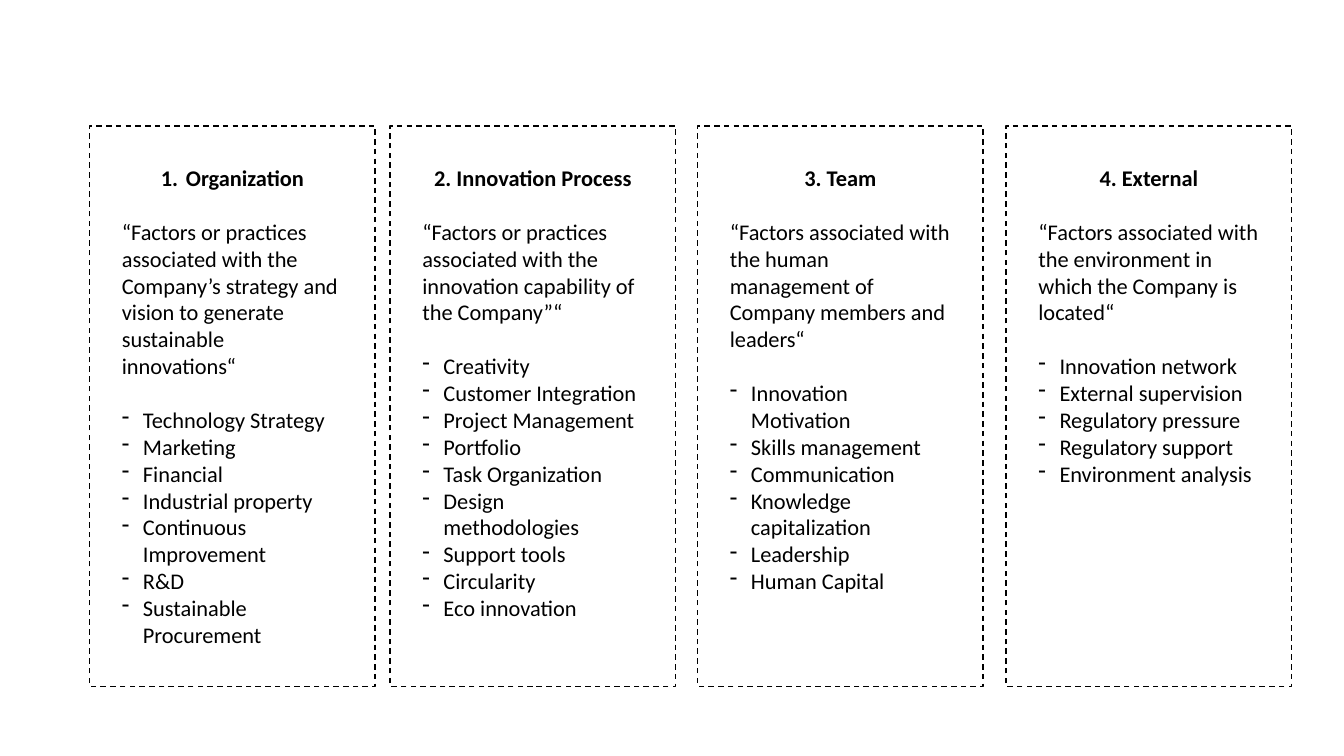
from lxml.etree import SubElement
from pptx import Presentation
from pptx.dml.color import RGBColor
from pptx.enum.dml import MSO_LINE
from pptx.enum.shapes import MSO_SHAPE
from pptx.enum.text import MSO_AUTO_SIZE, PP_ALIGN
from pptx.oxml.ns import qn
from pptx.util import Inches, Pt

COLORS = {"ink": "000000"}
FONT = "Calibri"
SIZE = Pt(16)
GAP = Pt(19.2)

FACTORS = [
    {
        "left": 0.89, "text_height": 4.95, "heading": "Organization", "numbered": True,
        "definition": "“Factors or practices associated with the Company’s strategy "
                      "and vision to generate sustainable innovations“",
        "practices": ["Technology Strategy", "Marketing", "Financial", "Industrial property",
                      "Continuous Improvement", "R&D", "Sustainable Procurement"],
    },
    {
        "left": 3.87, "text_height": 4.95, "heading": "2. Innovation Process", "numbered": False,
        "definition": "“Factors or practices associated with the innovation capability "
                      "of the Company”“",
        "practices": ["Creativity", "Customer Integration", "Project Management", "Portfolio",
                      "Task Organization", "Design methodologies", "Support tools",
                      "Circularity", "Eco innovation"],
    },
    {
        "left": 6.92, "text_height": 4.68, "heading": "3. Team", "numbered": False,
        "definition": "“Factors associated with the human management of Company members "
                      "and leaders“",
        "practices": ["Innovation Motivation", "Skills management", "Communication",
                      "Knowledge capitalization", "Leadership", "Human Capital"],
    },
    {
        "left": 9.98, "text_height": 3.33, "heading": "4. External", "numbered": False,
        "definition": "“Factors associated with the environment in which the Company "
                      "is located“",
        "practices": ["Innovation network", "External supervision", "Regulatory pressure",
                      "Regulatory support", "Environment analysis"],
    },
]

FRAME_TOP, FRAME_WIDTH, FRAME_HEIGHT = 1.25, 2.83, 5.56
TEXT_TOP, TEXT_WIDTH = 1.58, 2.39
TEXT_INSET = (FRAME_WIDTH - TEXT_WIDTH) / 2


def set_bullet(paragraph, indent, tag, **attributes):
    properties = paragraph._p.get_or_add_pPr()
    properties.set("marL", str(Inches(indent)))
    properties.set("indent", str(-Inches(indent)))
    SubElement(properties, qn(tag), **attributes)


def write(paragraph, words, bold=False):
    paragraph.text = words
    font = paragraph.runs[0].font
    font.name, font.size, font.bold = FONT, SIZE, bold
    font.color.rgb = RGBColor.from_string(COLORS["ink"])


def add_frame(slide, left):
    frame = slide.shapes.add_shape(MSO_SHAPE.RECTANGLE, Inches(left), Inches(FRAME_TOP),
                                   Inches(FRAME_WIDTH), Inches(FRAME_HEIGHT))
    frame.shadow.inherit = False
    frame.fill.background()
    frame.line.color.rgb = RGBColor.from_string(COLORS["ink"])
    frame.line.width = Pt(1)
    frame.line.dash_style = MSO_LINE.DASH


def add_factor(slide, factor):
    add_frame(slide, factor["left"])
    column = slide.shapes.add_textbox(Inches(factor["left"] + TEXT_INSET), Inches(TEXT_TOP),
                                      Inches(TEXT_WIDTH), Inches(factor["text_height"]))
    text = column.text_frame
    text.word_wrap = True
    text.auto_size = MSO_AUTO_SIZE.SHAPE_TO_FIT_TEXT

    heading = text.paragraphs[0]
    write(heading, factor["heading"], bold=True)
    heading.alignment = PP_ALIGN.CENTER
    heading.space_after = GAP
    if factor["numbered"]:
        set_bullet(heading, 0.25, "a:buAutoNum", type="arabicPeriod")

    definition = text.add_paragraph()
    write(definition, factor["definition"])
    definition.space_after = GAP

    for name in factor["practices"]:
        practice = text.add_paragraph()
        write(practice, name)
        set_bullet(practice, 0.21, "a:buChar", char="-")


def main():
    deck = Presentation()
    deck.slide_width, deck.slide_height = Inches(13.33), Inches(7.5)
    slide = deck.slides.add_slide(deck.slide_layouts[6])
    for factor in FACTORS:
        add_factor(slide, factor)
    deck.save("out.pptx")


if __name__ == "__main__":
    main()
